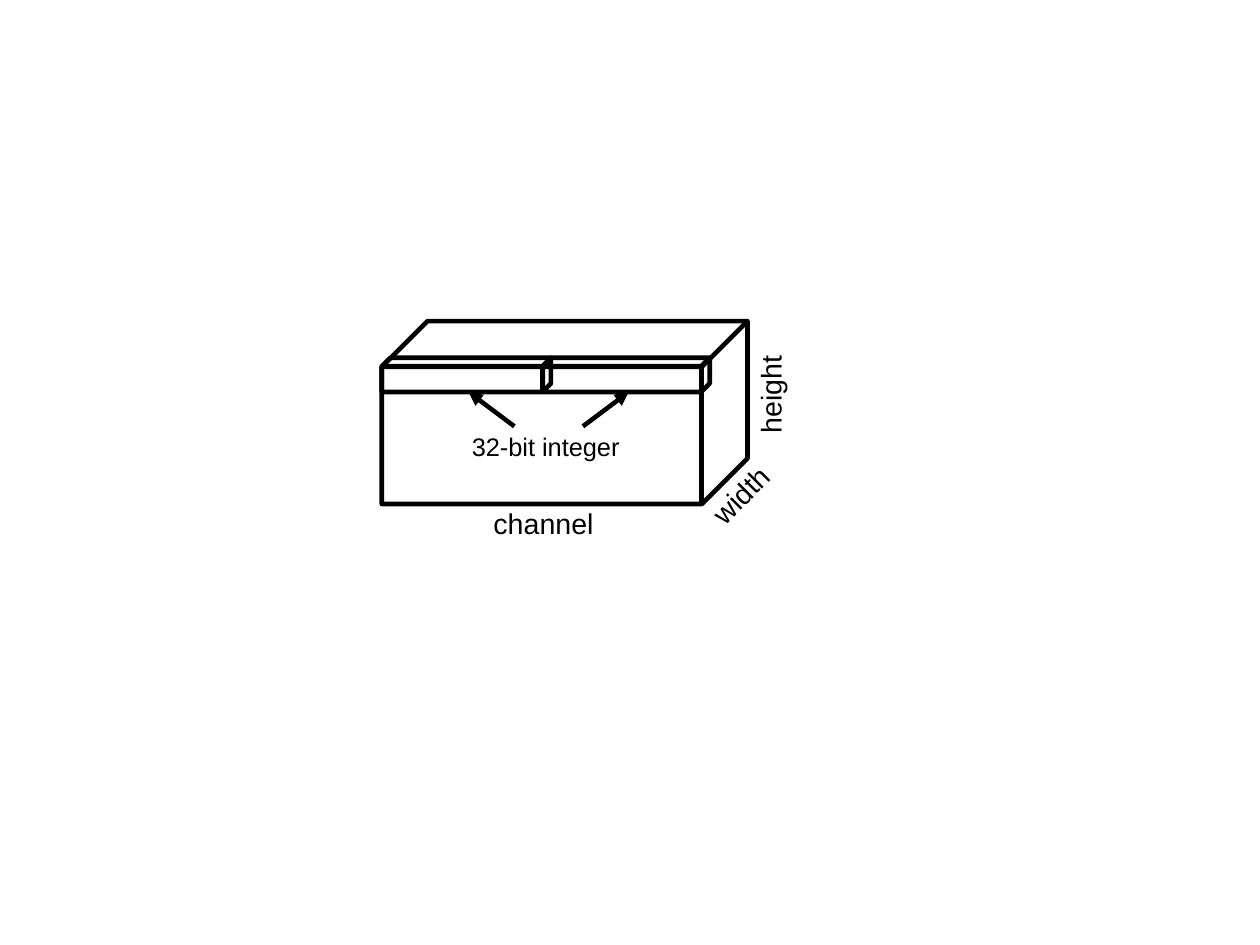
from lxml import etree
from pptx import Presentation
from pptx import util as u
from pptx.dml.color import RGBColor
from pptx.enum import shapes, text
from pptx.oxml import ns

CELL = u.Inches(0.1)
INK = "000000"
STROKE = u.Pt(2.89)
FONT = "Arial"


def cells(*counts):
    """Turn grid columns and rows into slide lengths."""
    return [round(count * CELL) for count in counts]


def color(hex_code):
    return RGBColor.from_string(hex_code)


def style(target, formats):
    for name, value in formats.items():
        setattr(target, name, value)


def draw_outline(line):
    line.color.rgb = color(INK)
    line.width = STROKE


def add_cube(page, left, top, width, height):
    cube = page.shapes.add_shape(
        shapes.MSO_SHAPE.CUBE, *cells(left, top, width, height))
    cube.shadow.inherit = False
    cube.fill.background()
    cube.adjustments[0] = 0.25
    draw_outline(cube.line)


def add_label(page, wording, left, top, width, height, size=18, rotation=0):
    box = page.shapes.add_textbox(*cells(left, top, width, height))
    box.rotation = rotation
    frame = box.text_frame
    style(frame, {"word_wrap": False,
                  "auto_size": text.MSO_AUTO_SIZE.SHAPE_TO_FIT_TEXT})
    para = frame.paragraphs[0]
    para.alignment = text.PP_ALIGN.CENTER
    span = para.add_run()
    span.text = wording
    style(span.font, {"name": FONT, "size": u.Pt(size)})
    span.font.color.rgb = color(INK)


def add_arrow(page, start, end):
    arrow = page.shapes.add_connector(
        shapes.MSO_CONNECTOR.STRAIGHT, *cells(*start, *end))
    draw_outline(arrow.line)
    etree.SubElement(arrow.line._get_or_add_ln(), ns.qn("a:tailEnd"),
                     type="triangle")
    etree.SubElement(arrow._element.spPr, ns.qn("a:effectLst"))


def main():
    deck = Presentation()
    style(deck, {"slide_width": u.Cm(28), "slide_height": u.Cm(21)})
    page = deck.slides.add_slide(deck.slide_layouts[6])

    block_left, block_top, slab_top = 33.4, 28.1, 31.3
    add_cube(page, block_left, block_top, 32, 16)
    add_cube(page, 47.5, slab_top, 14.6, 3)
    add_cube(page, block_left, slab_top, 14.8, 3)

    add_label(page, "32-bit integer", 40.1, 37.2, 15.3, 3.5, size=16)
    add_label(page, "width", 60.6, 41.3, 8.2, 3.8, rotation=315)
    add_label(page, "height", 62.7, 32.6, 9.2, 3.8, rotation=270)
    add_label(page, "channel", 42, 43.8, 11.1, 3.8)

    arrow_center = 48
    for side in (-1, 1):
        add_arrow(page, (arrow_center + 3 * side, 37.3),
                  (arrow_center + 7 * side, 34.3))

    deck.save("out.pptx")


if __name__ == "__main__":
    main()
